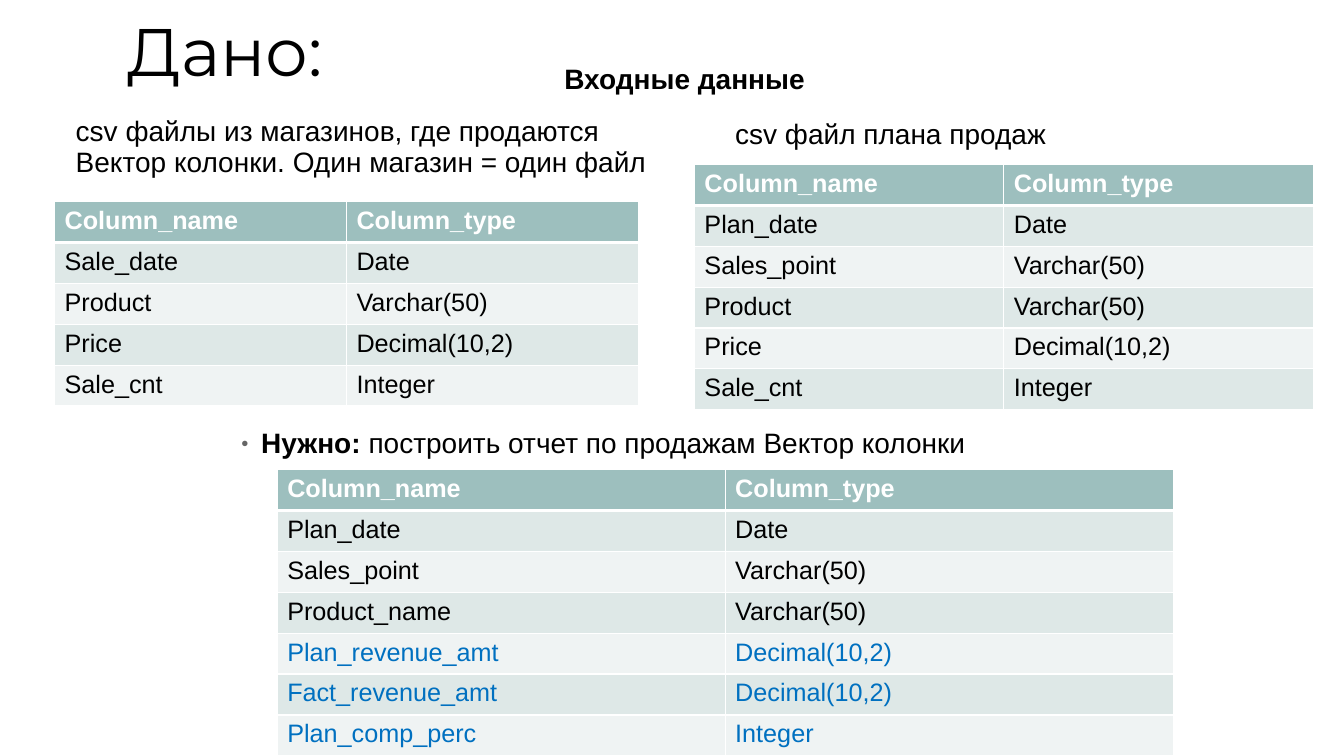
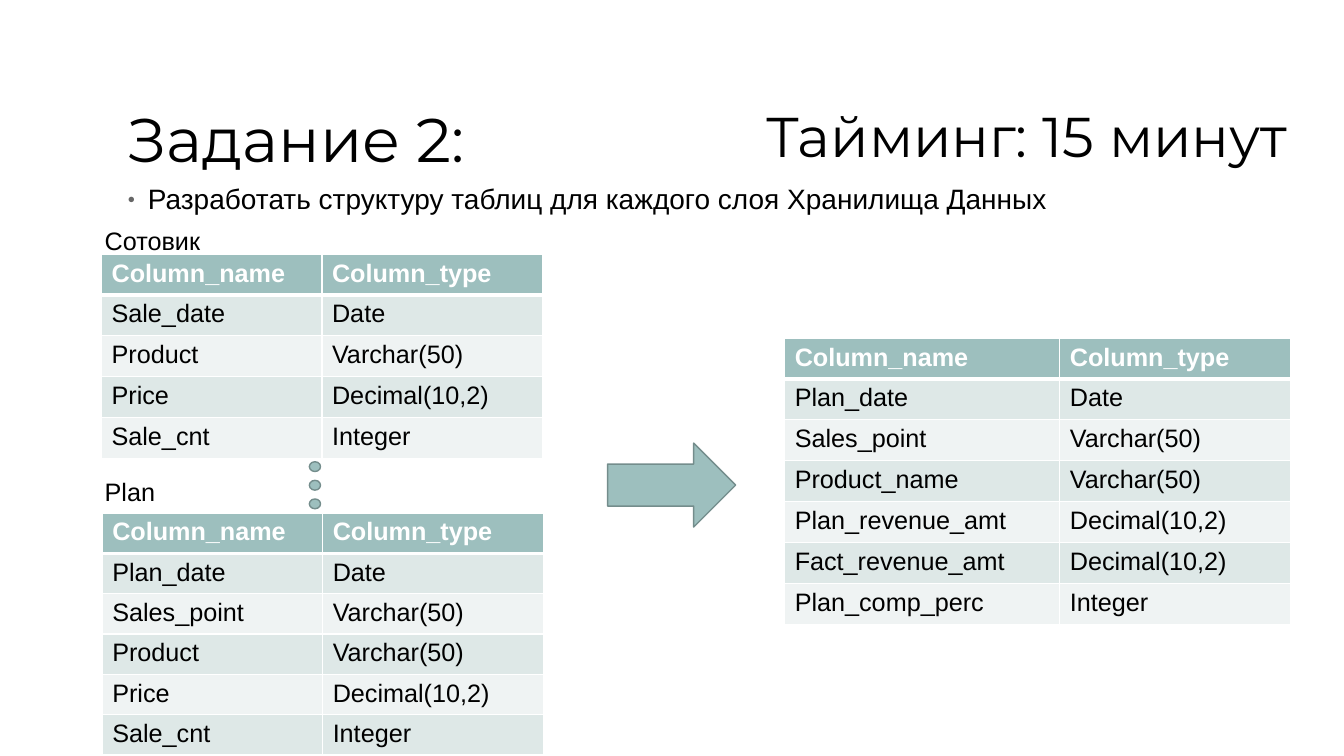
from dataclasses import dataclass
from pptx import Presentation
from pptx import util as u
from pptx.dml.color import RGBColor
from pptx.enum import shapes, text
from pptx.oxml import parse_xml
from pptx.oxml.ns import nsdecls

Pt = u.Pt
LEFT, CENTER, RIGHT = (text.PP_ALIGN.LEFT, text.PP_ALIGN.CENTER,
                       text.PP_ALIGN.RIGHT)
TOP, MIDDLE = text.MSO_ANCHOR.TOP, text.MSO_ANCHOR.MIDDLE


@dataclass(frozen=True)
class Theme:
    """Colours, fonts and type sizes of the deck."""
    ink: str = "000000"
    paper: str = "FFFFFF"
    accent: str = "9DBFBE"
    outline: str = "748D8C"
    odd: str = "DEE8E7"
    even: str = "EFF3F3"
    computed: str = "0070C0"
    bullet: str = "666666"
    head_font: str = "Montserrat"
    body_font: str = "Arial"
    title: int = 48
    task: int = 44
    timing: int = 40
    body: int = 20
    cell: int = 18
    row: float = 29.2
    tight_row: float = 28.8


T = Theme()

# Table structures
TYPES = {
    "Sale_date": "Date", "Plan_date": "Date",
    "Sales_point": "Varchar(50)", "Product": "Varchar(50)",
    "Product_name": "Varchar(50)", "Price": "Decimal(10,2)",
    "Sale_cnt": "Integer", "Plan_revenue_amt": "Decimal(10,2)",
    "Fact_revenue_amt": "Decimal(10,2)", "Plan_comp_perc": "Integer",
}
SALES = ["Sale_date", "Product", "Price", "Sale_cnt"]
PLAN = ["Plan_date", "Sales_point", "Product", "Price", "Sale_cnt"]
COMPUTED = ["Plan_revenue_amt", "Fact_revenue_amt", "Plan_comp_perc"]
REPORT = ["Plan_date", "Sales_point", "Product_name"] + COMPUTED


def rgb(color):
    return RGBColor.from_string(color)


def apply(obj, **values):
    for name, value in values.items():
        setattr(obj, name, value)


def place(sp, box):
    names = ("left", "top", "width", "height")
    apply(sp, **{n: Pt(v) for n, v in zip(names, box)})


def write(tf, *runs, size=T.body, font=T.body_font, color=T.ink, align=LEFT,
          anchor=TOP, spacing=0.9, before=0):
    """Fill a frame with one paragraph; each run is (text, bold)."""
    apply(tf, word_wrap=True, auto_size=text.MSO_AUTO_SIZE.NONE,
          vertical_anchor=anchor)
    p = tf.paragraphs[0]
    apply(p, alignment=align, line_spacing=spacing, space_before=Pt(before))
    for words, bold in runs:
        r = p.add_run()
        r.text = words
        apply(r.font, name=font, size=Pt(size), bold=bold)
        r.font.color.rgb = rgb(color)
    return p


def add_title(s, box, words, size):
    place(s.shapes.title, box)
    write(s.shapes.title.text_frame, (words, False), size=size,
          font=T.head_font, anchor=MIDDLE)


def add_bullet(s, box, *runs):
    """Put a single bulleted line in the body placeholder."""
    sp = s.placeholders[1]
    place(sp, box)
    pPr = write(sp.text_frame, *runs, before=12)._p.get_or_add_pPr()
    pPr.set("marL", str(Pt(14.4)))
    pPr.set("indent", str(-Pt(14.4)))
    ns = nsdecls("a")
    for xml in (f'<a:buClr {ns}><a:srgbClr val="{T.bullet}"/></a:buClr>',
                f'<a:buSzPct {ns} val="45000"/>',
                f'<a:buFont {ns} typeface="{T.body_font}"/>',
                f'<a:buChar {ns} char="●"/>'):
        pPr.append(parse_xml(xml))


def add_text(s, box, words, bold=False, **style):
    sp = s.shapes.add_textbox(*map(Pt, box))
    write(sp.text_frame, (words, bold), **style)


def add_borders(cell, bottom):
    tcPr = cell._tc.get_or_add_tcPr()
    for side, width in (("L", 0.96), ("R", 0.96), ("T", 0.96), ("B", bottom)):
        tcPr.append(parse_xml(
            f'<a:ln{side} {nsdecls("a")} w="{Pt(width)}"><a:solidFill>'
            f'<a:srgbClr val="{T.paper}"/></a:solidFill></a:ln{side}>'))


def add_structure(s, left, top, widths, fields, row=T.row, marked=()):
    """Table of column names and types; marked fields are coloured."""
    rows = [("Column_name", "Column_type")] + [(f, TYPES[f]) for f in fields]
    table = s.shapes.add_table(len(rows), 2, Pt(left), Pt(top),
                               Pt(sum(widths)), Pt(row * len(rows))).table
    for column, width in zip(table.columns, widths):
        column.width = Pt(width)
    for i, values in enumerate(rows):
        table.rows[i].height = Pt(row)
        head = i == 0
        fill = T.accent if head else T.odd if i % 2 else T.even
        color = (T.paper if head else
                 T.computed if values[0] in marked else T.ink)
        for cell, value in zip(table.rows[i].cells, values):
            add_borders(cell, 3 if head else 0.96)
            cell.fill.solid()
            cell.fill.fore_color.rgb = rgb(fill)
            write(cell.text_frame, (value, head), size=T.cell, color=color,
                  spacing=1.0)


def add_accent(parent, kind, box):
    sp = parent.shapes.add_shape(kind, *map(Pt, box))
    sp.shadow.inherit = False
    sp.fill.solid()
    sp.fill.fore_color.rgb = rgb(T.accent)
    sp.line.color.rgb = rgb(T.outline)
    sp.line.width = Pt(1)


def add_dots(s, left, top, step=13.3):
    """Vertical ellipsis between the source tables."""
    group = s.shapes.add_group_shape()
    for i in range(3):
        add_accent(group, shapes.MSO_SHAPE.OVAL, (left, top + i * step, 8, 7))


def given_slide(prs):
    s = prs.slides.add_slide(prs.slide_layouts[1])
    add_title(s, (84, -24.5, 792, 127), "Дано:", T.title)
    # Required report
    add_bullet(s, (165, 303, 698, 83), ("Нужно:", True),
               (" построить отчет по продажам Вектор колонки", False))
    add_structure(s, 198, 335.5, (320, 320), REPORT, marked=COMPUTED)
    # Input files
    add_text(s, (140, 43, 698, 63), "Входные данные", True, align=CENTER)
    add_text(s, (47, 80.5, 442, 63), "csv файлы из магазинов, где продаются "
             "Вектор колонки. Один магазин = один файл")
    add_structure(s, 39, 144, (208.5, 208.5), SALES)
    add_text(s, (518, 82.5, 442, 63), "csv файл плана продаж")
    add_structure(s, 496, 117.5, (221, 221), PLAN)


def task_slide(prs):
    s = prs.slides.add_slide(prs.slide_layouts[1])
    add_title(s, (84, 38, 792, 127), "Задание 2:", T.task)
    add_text(s, (134.6, 36, 792, 127), "Тайминг: 15 минут", size=T.timing,
             font=T.head_font, align=RIGHT, anchor=MIDDLE)
    add_bullet(s, (84, 129, 792, 357),
               ("Разработать структуру таблиц для каждого слоя "
                "Хранилища Данных", False))
    # Sources
    for top, label in ((157.7, "Сотовик"), (337, "Plan")):
        add_text(s, (67.7, top, 137, 29), label, size=T.cell, spacing=1.0)
    add_structure(s, 72.5, 181.5, (157.5, 157.5), SALES)
    add_dots(s, 221, 329.8)
    add_structure(s, 73, 366.5, (157.5, 157.5), PLAN, T.tight_row)
    # Result
    add_accent(s, shapes.MSO_SHAPE.RIGHT_ARROW, (434, 316.5, 91.5, 60))
    add_structure(s, 560.5, 241.5, (196.5, 165), REPORT)


def main():
    prs = Presentation()
    apply(prs, slide_width=Pt(960), slide_height=Pt(540))
    given_slide(prs)
    task_slide(prs)
    prs.save("out.pptx")


if __name__ == "__main__":
    main()
